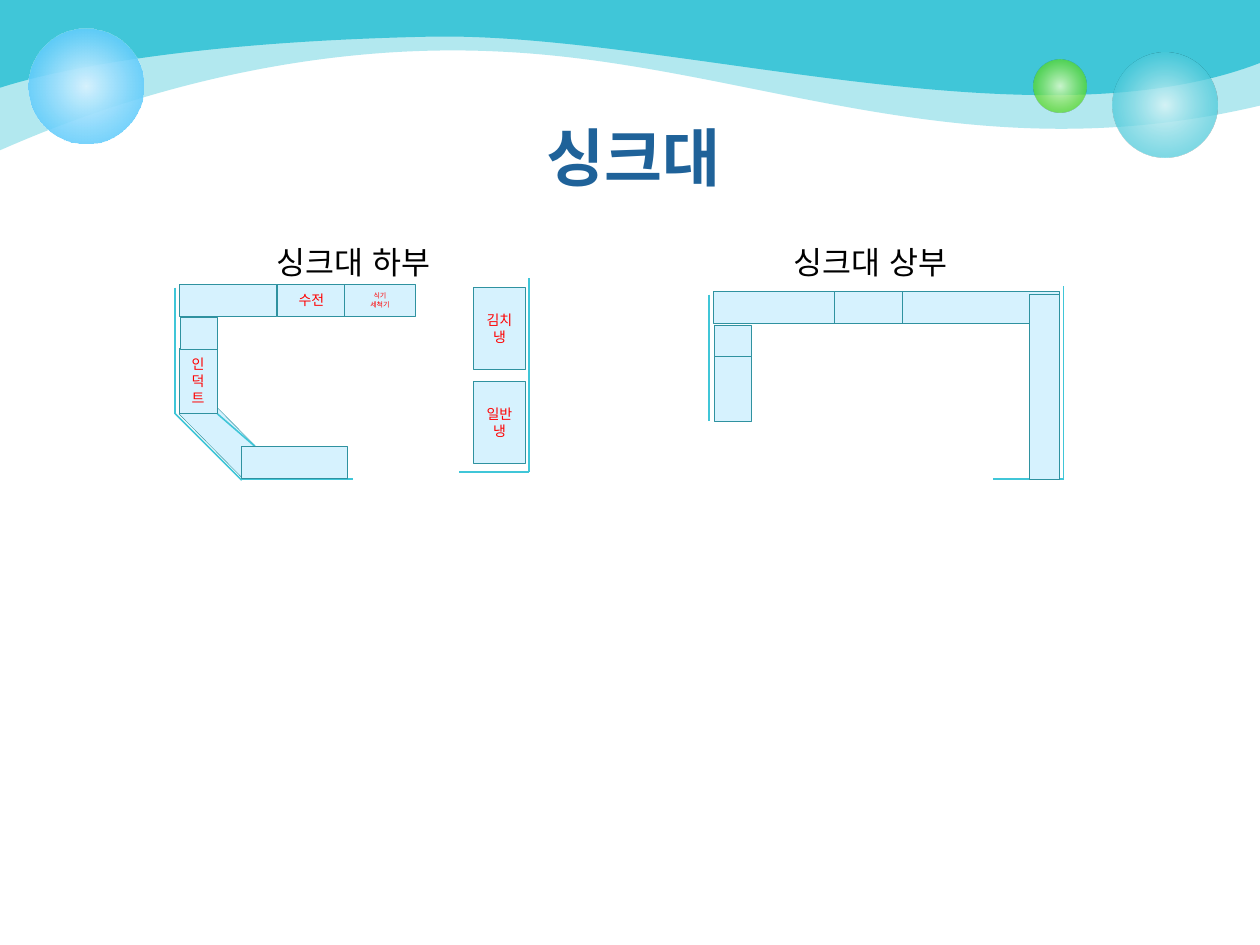
import dataclasses
import typing

import lxml.etree
import pptx
import pptx.dml.color
import pptx.enum.lang
import pptx.enum.shapes
import pptx.enum.text
import pptx.oxml
import pptx.oxml.ns
import pptx.util

Cm = pptx.util.Cm
Pt = pptx.util.Pt
RGBColor = pptx.dml.color.RGBColor
MSO_SHAPE = pptx.enum.shapes.MSO_SHAPE
PP_ALIGN = pptx.enum.text.PP_ALIGN
MSO_ANCHOR = pptx.enum.text.MSO_ANCHOR
MSO_AUTO_SIZE = pptx.enum.text.MSO_AUTO_SIZE
qn = pptx.oxml.ns.qn

TEAL = RGBColor(0x40, 0xC6, 0xD8)
DARK_TEAL = RGBColor(0x2F, 0x92, 0xA0)
PALE_BLUE = RGBColor(0xD6, 0xF2, 0xFE)
SKY_BLUE = RGBColor(0x33, 0xBD, 0xFB)
PALE_TEAL = RGBColor(0xD9, 0xF4, 0xF7)
PALE_GREEN = RGBColor(0xDA, 0xFA, 0xCD)
GREEN = RGBColor(0x4C, 0xD4, 0x16)
NAVY = RGBColor(0x1F, 0x62, 0x99)
RED = RGBColor(0xFF, 0x00, 0x00)
BLACK = RGBColor(0x00, 0x00, 0x00)

SLIDE_WIDTH = 25.4
DEPTH = 0.64

BASE_FONT = {"name": "Cabin", "language_id": pptx.enum.lang.MSO_LANGUAGE_ID.KOREAN}
TITLE_FONT = {**BASE_FONT, "size": Pt(36), "bold": True}
HEADING_FONT = {**BASE_FONT, "size": Pt(18)}
TITLE_FRAME = {"word_wrap": True, "vertical_anchor": MSO_ANCHOR.TOP}
HEADING_FRAME = {"word_wrap": False, "auto_size": MSO_AUTO_SIZE.SHAPE_TO_FIT_TEXT}
CABINET_FRAME = {"word_wrap": True, "vertical_anchor": MSO_ANCHOR.MIDDLE}

Point = tuple[float, float]


class Wave(typing.NamedTuple):
    curves: list[tuple[Point, Point, Point]]
    opacity: int


class Bubble(typing.NamedTuple):
    left: float
    top: float
    size: float
    stops: list[tuple[int, RGBColor, int]]


class Wall(typing.NamedTuple):
    x1: float
    y1: float
    x2: float
    y2: float


@dataclasses.dataclass
class Cabinet:
    left: float
    top: float
    width: float
    height: float = DEPTH
    label: str = ""
    label_size: float = 8
    rotation: float = 0


@dataclasses.dataclass
class Plan:
    heading: str
    heading_left: float
    walls: list[Wall]
    cabinets: list[Cabinet]


WAVES = [
    Wave([((0, 1.19), (0, 1.85), (0, 3.03)),
          ((0.84, 2.67), (5, 0.79), (10.06, 1.04)),
          ((15.11, 1.27), (19.35, 3.56), (25.4, 2.13)),
          ((25.4, 1.42), (25.4, 0.71), (25.43, 0))], 40),
    Wave([((0, 0.71), (0, 1.04), (0, 1.77)),
          ((1.14, 1.4), (3.89, 0.84), (8.66, 0.74)),
          ((13.43, 0.64), (20.83, 3.03), (25.4, 1.27)),
          ((25.4, 0.84), (25.4, 0.41), (25.4, 0))], 100),
]
BUBBLES = [
    Bubble(22.43, 1.07, 2.11, [(0, PALE_TEAL, 90), (76, TEAL, 70)]),
    Bubble(20.83, 1.2, 1.07, [(0, PALE_GREEN, 90), (76, GREEN, 70)]),
    Bubble(0.58, 0.58, 2.31, [(0, PALE_BLUE, 100), (100, SKY_BLUE, 80)]),
]
PLANS = [
    Plan("싱크대 하부", 5.33, [
        Wall(3.61, 5.74, 8.23, 5.74), Wall(3.53, 5.8, 3.53, 8.34),
        Wall(3.53, 8.34, 4.87, 9.68), Wall(4.87, 9.66, 7.11, 9.66),
        Wall(10.66, 9.51, 9.25, 9.51), Wall(10.66, 9.51, 10.66, 5.61),
        Wall(4.38, 8.34, 5.13, 8.99),
    ], [
        Cabinet(3.56, 8.46, 1.85, rotation=45.3),
        Cabinet(3.61, 7.02, 0.77, 1.32, "인덕트"),
        Cabinet(5.58, 5.73, 1.4, label="수전"),
        Cabinet(3.61, 5.73, 1.96),
        Cabinet(6.95, 5.73, 1.42, label="식기\n세척기", label_size=4),
        Cabinet(3.63, 6.4, 0.76),
        Cabinet(4.86, 9, 2.14),
        Cabinet(9.55, 7.69, 1.04, 1.65, "일반냉"),
        Cabinet(9.55, 5.79, 1.04, 1.65, "김치냉"),
    ]),
    Plan("싱크대 상부", 15.75, [
        Wall(14.4, 5.89, 19, 5.89), Wall(14.29, 5.94, 14.29, 8.48),
        Wall(21.44, 9.66, 20.02, 9.66), Wall(21.44, 9.66, 21.44, 5.77),
    ], [
        Cabinet(14.4, 7.18, 0.75, 1.32),
        Cabinet(16.81, 5.87, 1.4),
        Cabinet(14.38, 5.87, 2.44),
        Cabinet(18.19, 5.87, 3.17),
        Cabinet(14.4, 6.55, 0.75),
        Cabinet(20.75, 5.94, 0.61, 3.73),
    ]),
]


def apply_format(target: typing.Any, values: dict[str, typing.Any]) -> None:
    for attribute, value in values.items():
        setattr(target, attribute, value)


def write_text(shape, text: str, frame: dict, font: dict, color: RGBColor, align) -> None:
    shape.text_frame.text = text
    apply_format(shape.text_frame, frame)
    for paragraph in shape.text_frame.paragraphs:
        paragraph.alignment = align
        for run in paragraph.runs:
            apply_format(run.font, font)
            run.font.color.rgb = color


def add_alpha(color_element, percent: int) -> None:
    lxml.etree.SubElement(color_element, qn("a:alpha"), val=str(percent * 1000))


def bend_segments(band, curve_count: int) -> None:
    segments = list(band._element.iter(qn("a:lnTo")))
    for first in range(0, curve_count * 3, 3):
        bezier = lxml.etree.Element(qn("a:cubicBezTo"))
        segments[first].addprevious(bezier)
        for segment in segments[first:first + 3]:
            bezier.append(segment[0])
            segment.getparent().remove(segment)


def draw_wave(shapes, wave: Wave) -> None:
    builder = shapes.build_freeform(0, 0)
    builder.add_line_segments([(Cm(x), Cm(y)) for curve in wave.curves for x, y in curve])
    band = builder.convert_to_shape()
    bend_segments(band, len(wave.curves))
    band.shadow.inherit = False
    band.line.fill.background()
    band.fill.solid()
    band.fill.fore_color.rgb = TEAL
    if wave.opacity < 100:
        add_alpha(band._element.spPr.find(".//" + qn("a:srgbClr")), wave.opacity)


def draw_bubble(shapes, bubble: Bubble) -> None:
    ball = shapes.add_shape(MSO_SHAPE.OVAL, Cm(bubble.left), Cm(bubble.top),
                            Cm(bubble.size), Cm(bubble.size))
    ball.shadow.inherit = False
    ball.line.fill.background()
    ball.fill.gradient()
    gradient = ball._element.spPr.find(qn("a:gradFill"))
    for child in list(gradient):
        gradient.remove(child)
    stop_list = lxml.etree.SubElement(gradient, qn("a:gsLst"))
    for position, color, opacity in bubble.stops:
        stop = lxml.etree.SubElement(stop_list, qn("a:gs"), pos=str(position * 1000))
        add_alpha(lxml.etree.SubElement(stop, qn("a:srgbClr"), val=str(color)), opacity)
    radial = lxml.etree.SubElement(gradient, qn("a:path"), path="circle")
    lxml.etree.SubElement(radial, qn("a:fillToRect"), dict.fromkeys("ltrb", "50000"))


def draw_wall(shapes, wall: Wall) -> None:
    edge = shapes.add_connector(pptx.enum.shapes.MSO_CONNECTOR.STRAIGHT, *map(Cm, wall))
    edge.line.color.rgb = TEAL
    edge.line.width = Pt(0.9)
    lxml.etree.SubElement(edge._element.spPr, qn("a:effectLst"))


def draw_cabinet(shapes, cabinet: Cabinet) -> None:
    unit = shapes.add_shape(MSO_SHAPE.RECTANGLE, Cm(cabinet.left), Cm(cabinet.top),
                            Cm(cabinet.width), Cm(cabinet.height))
    unit.rotation = cabinet.rotation
    unit.shadow.inherit = False
    unit.fill.solid()
    unit.fill.fore_color.rgb = PALE_BLUE
    unit.line.color.rgb = DARK_TEAL
    unit.line.width = Pt(0.25)
    if cabinet.label:
        font = {**BASE_FONT, "size": Pt(cabinet.label_size)}
        write_text(unit, cabinet.label, CABINET_FRAME, font, RED, PP_ALIGN.CENTER)


def draw_plan(shapes, plan: Plan) -> None:
    for cabinet in filter(lambda unit: unit.rotation, plan.cabinets):
        draw_cabinet(shapes, cabinet)
    for wall in plan.walls:
        draw_wall(shapes, wall)
    for cabinet in filter(lambda unit: not unit.rotation, plan.cabinets):
        draw_cabinet(shapes, cabinet)
    heading = shapes.add_textbox(Cm(plan.heading_left), Cm(4.78), Cm(3.91), Cm(1.02))
    write_text(heading, plan.heading, HEADING_FRAME, HEADING_FONT, BLACK, PP_ALIGN.LEFT)


def main() -> None:
    deck = pptx.Presentation()
    deck.slide_width, deck.slide_height = Cm(SLIDE_WIDTH), Cm(19.05)
    shapes = deck.slides.add_slide(deck.slide_layouts[6]).shapes
    for wave in WAVES:
        draw_wave(shapes, wave)
    for bubble in BUBBLES:
        draw_bubble(shapes, bubble)
    title = shapes.add_textbox(Cm(1.34), Cm(2.26), Cm(22.86), Cm(3.18))
    write_text(title, "싱크대", TITLE_FRAME, TITLE_FONT, NAVY, PP_ALIGN.CENTER)
    for plan in PLANS:
        draw_plan(shapes, plan)
    deck.save("out.pptx")


if __name__ == "__main__":
    main()
